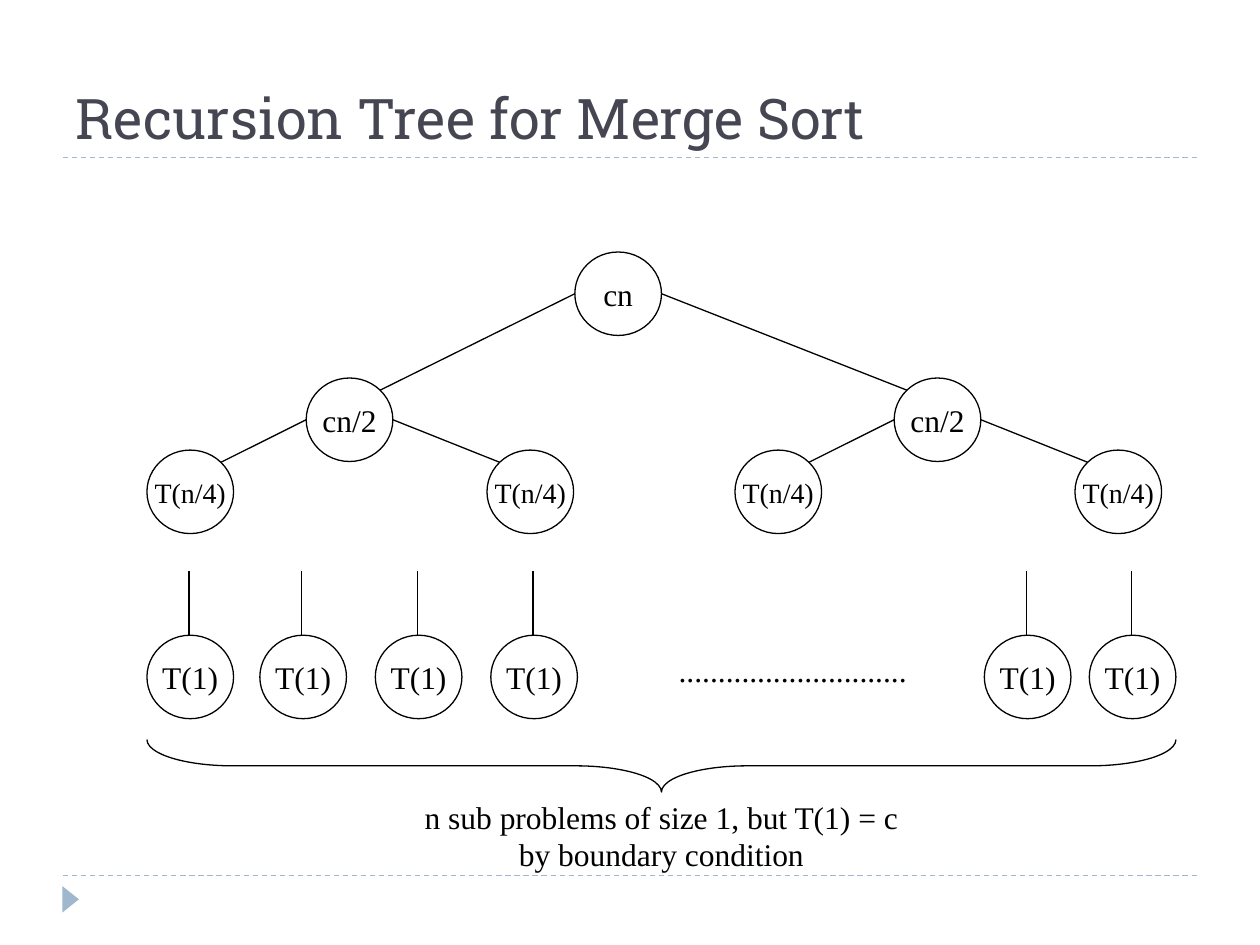
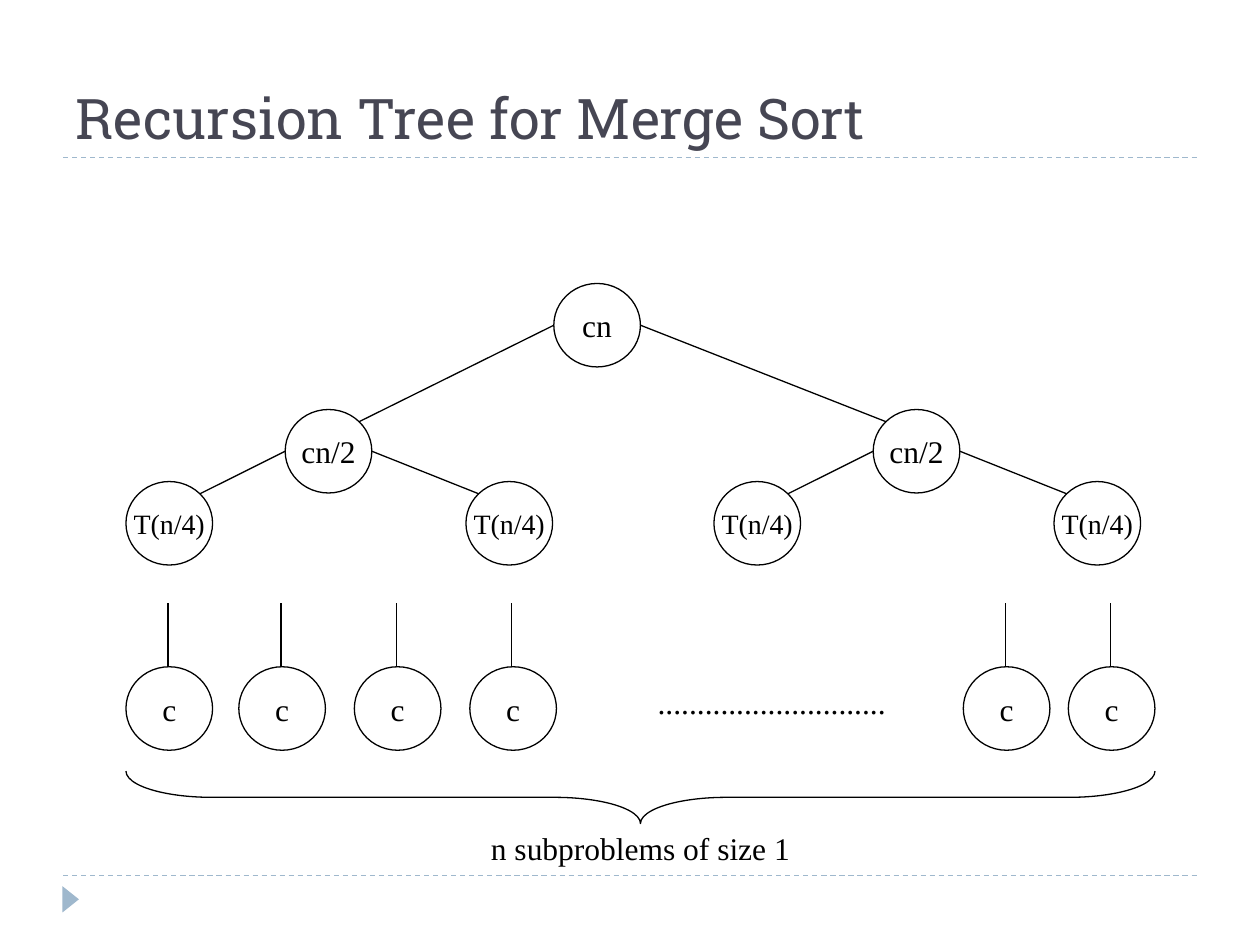
from lxml import etree
from pptx import Presentation
from pptx.dml.color import RGBColor
from pptx.enum import dml, shapes, text
from pptx.oxml import ns
from pptx.util import Pt

INK = RGBColor(0x00, 0x00, 0x00)
TITLE_INK = RGBColor(0x46, 0x46, 0x53)
ACCENT = RGBColor(0x9F, 0xB8, 0xCD)
TITLE_FONT = "Roboto Slab"
BODY_FONT = "Times New Roman"

NODE_W, NODE_H = 49.5, 47.7
DIAGONAL_INSET = 0.146
ROOT_X, HALVES_Y, QUARTERS_Y = 244.5, 72, 113.2
HALF_X, SUBTREE_STEP, QUARTER_STEP = 91, 336, 194.3
LEAVES_X = (0, 64.5, 130.5, 196.5, 478.5, 538.5)
LEAVES_Y, STEM_TOP = 219, 182.5
TREE_W, BRACE_Y, BRACE_H = 588, 278.6, 30


def style_text(frame, size, font, color, align):
    for paragraph in frame.paragraphs:
        paragraph.alignment = align
        for run in paragraph.runs:
            run.font.size = Pt(size)
            run.font.name = font
            run.font.color.rgb = color


def add_line(parent, start, end, color=INK, dashed=False):
    line = parent.add_connector(
        shapes.MSO_CONNECTOR.STRAIGHT, *(Pt(v) for v in (*start, *end)))
    line.line.color.rgb = color
    line.line.width = Pt(0.75)
    if dashed:
        line.line.dash_style = dml.MSO_LINE.DASH
    etree.SubElement(line._element.spPr, ns.qn("a:effectLst"))


def add_node(parent, x, y, label, size=18):
    node = parent.add_shape(
        shapes.MSO_SHAPE.OVAL, Pt(x), Pt(y), Pt(NODE_W), Pt(NODE_H))
    node.shadow.inherit = False
    node.fill.background()
    node.line.color.rgb = INK
    node.line.width = Pt(0.75)
    frame = node.text_frame
    frame.text = label
    frame.word_wrap = False
    frame.vertical_anchor = text.MSO_ANCHOR.MIDDLE
    style_text(frame, size, BODY_FONT, INK, text.PP_ALIGN.CENTER)


def add_label(parent, x, y, width, height, words):
    frame = parent.add_textbox(Pt(x), Pt(y), Pt(width), Pt(height)).text_frame
    frame.text = words
    frame.word_wrap = True
    style_text(frame, 18, BODY_FONT, INK, text.PP_ALIGN.CENTER)
    spacing = etree.SubElement(
        frame.paragraphs[0]._p.get_or_add_pPr(), ns.qn("a:spcBef"))
    etree.SubElement(spacing, ns.qn("a:spcPct"), val="50000")


def add_branches(parent, x, y, children):
    middle = y + NODE_H / 2
    (left_x, child_y), (right_x, _) = children
    joint_y = child_y + NODE_H * DIAGONAL_INSET
    add_line(parent, (x, middle),
             (left_x + NODE_W * (1 - DIAGONAL_INSET), joint_y))
    add_line(parent, (x + NODE_W, middle),
             (right_x + NODE_W * DIAGONAL_INSET, joint_y))


def add_subtree(parent, left, top):
    half = (left + HALF_X, top + HALVES_Y)
    quarters = [(left + step, top + QUARTERS_Y) for step in (0, QUARTER_STEP)]
    add_node(parent, *half, "cn/2")
    for quarter in quarters:
        add_node(parent, *quarter, "T(n/4)", 16)
    add_branches(parent, *half, quarters)
    return half


def add_leaves(parent, left, top, label):
    for x in LEAVES_X:
        add_node(parent, left + x, top + LEAVES_Y, label)
        stem_x = left + x + 24
        add_line(parent, (stem_x, top + LEAVES_Y), (stem_x, top + STEM_TOP))
    add_label(parent, left + 270, top + 224.6, 198, 36, "." * 29)


def add_brace(parent, left, top):
    brace = parent.add_shape(
        shapes.MSO_SHAPE.LEFT_BRACE,
        Pt(left + (TREE_W - BRACE_H) / 2), Pt(top + (BRACE_H - TREE_W) / 2),
        Pt(BRACE_H), Pt(TREE_W))
    brace.rotation = 270
    brace.adjustments[0] = 1.633
    brace.adjustments[1] = 0.5
    brace.shadow.inherit = False
    brace.fill.background()
    brace.line.color.rgb = INK
    brace.line.width = Pt(0.75)


def add_recursion_tree(slide, left, top, leaf, caption, caption_h):
    tree = slide.shapes.add_group_shape().shapes
    add_node(tree, left + ROOT_X, top, "cn")
    halves = [add_subtree(tree, left + step, top) for step in (0, SUBTREE_STEP)]
    add_branches(tree, left + ROOT_X, top, halves)
    add_leaves(tree, left, top, leaf)
    add_brace(tree, left, top + BRACE_Y)
    add_label(tree, left + 144, top + 308.2, 300, caption_h, caption)


def add_frame(slide, left, width, heading):
    for y in (500.4, 90):
        add_line(slide.shapes, (left, y), (left + width, y), ACCENT, True)
    marker = slide.shapes.add_shape(
        shapes.MSO_SHAPE.ISOSCELES_TRIANGLE,
        Pt(left - 3.1), Pt(509.2), Pt(15), Pt(9.4))
    marker.rotation = 90
    marker.shadow.inherit = False
    marker.fill.solid()
    marker.fill.fore_color.rgb = ACCENT
    marker.line.fill.background()

    title = slide.shapes.title
    title.left, title.top = Pt(left), Pt(12)
    title.width, title.height = Pt(width), Pt(78)
    frame = title.text_frame
    frame.text = heading
    frame.auto_size = text.MSO_AUTO_SIZE.NONE
    frame.vertical_anchor = text.MSO_ANCHOR.BOTTOM
    style_text(frame, 32, TITLE_FONT, TITLE_INK, text.PP_ALIGN.LEFT)


deck = Presentation()
deck.slide_width, deck.slide_height = Pt(720), Pt(540)
title_only = deck.slide_layouts[5]

for tree_spec in (
    (84, 144, "T(1)",
     "n sub problems of size 1, but T(1) = c by boundary condition", 50.4),
    (72, 162, "c", "n subproblems of size 1", 28.8),
):
    page = deck.slides.add_slide(title_only)
    add_frame(page, 36, 648, "Recursion Tree for Merge Sort")
    add_recursion_tree(page, *tree_spec)

deck.save("out.pptx")
